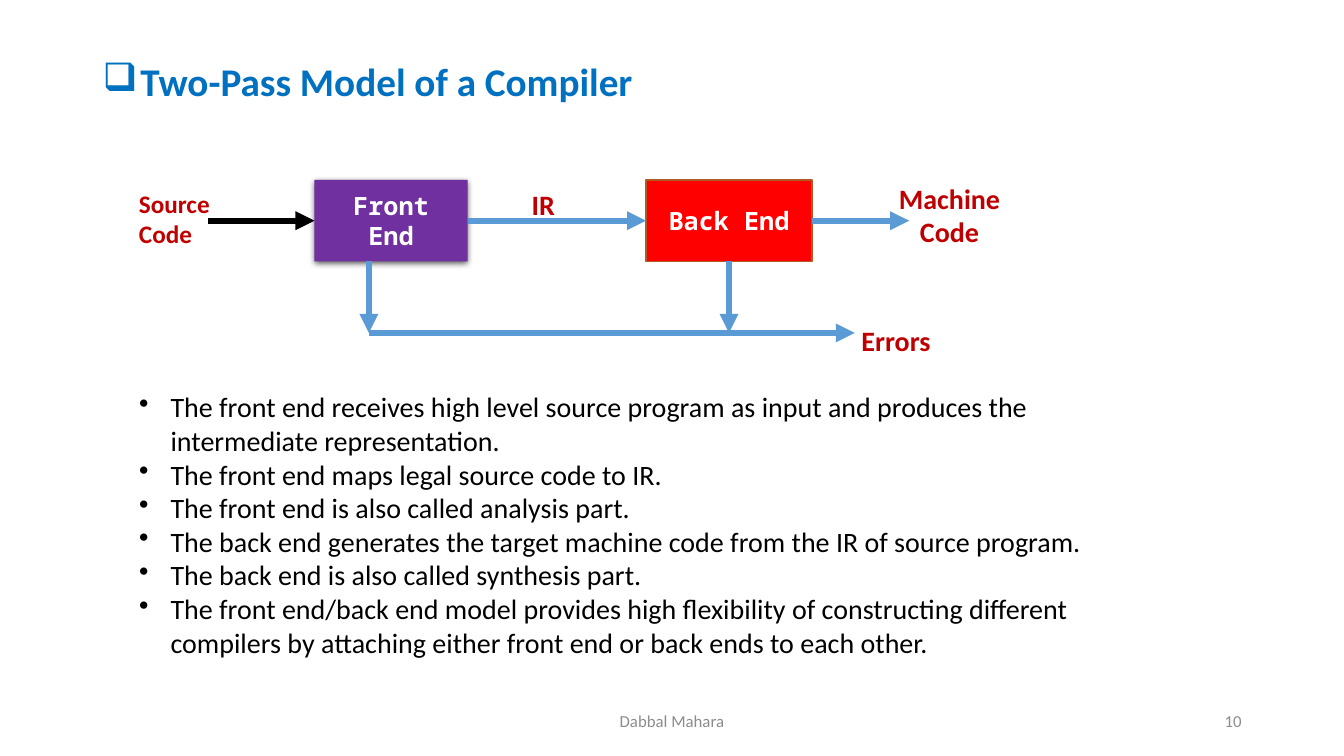
from lxml import etree
from pptx import Presentation
from pptx.dml.color import RGBColor
from pptx.enum.shapes import MSO_CONNECTOR, MSO_SHAPE
from pptx.enum.text import MSO_ANCHOR, PP_ALIGN
from pptx.oxml.ns import qn
from pptx.util import Pt

RECTANGLE = MSO_SHAPE.RECTANGLE
STRAIGHT = MSO_CONNECTOR.STRAIGHT
TOP, MIDDLE = MSO_ANCHOR.TOP, MSO_ANCHOR.MIDDLE
LEFT, CENTER, RIGHT = PP_ALIGN.LEFT, PP_ALIGN.CENTER, PP_ALIGN.RIGHT
SITE_LEFT, SITE_BOTTOM, SITE_RIGHT = 1, 2, 3

BLUE, DARK_RED, GRAY = "5B9BD5", "C00000", "8C8C8C"
BLACK, WHITE = "000000", "FFFFFF"
FLOW_Y, ERROR_Y = 157.65, 237.8

POINTS = [
    "The front end receives high level source program as input and produces the "
    "intermediate representation.",
    "The front end maps legal source code to IR.",
    "The front end is also called analysis part.",
    "The back end generates the target machine code from the IR of source program.",
    "The back end is also called synthesis part.",
    "The front end/back end model provides high flexibility of constructing different "
    "compilers by attaching either front end or back ends to each other.",
]


def rgb(value):
    return RGBColor.from_string(value)


def add_bullet(para, mark, indent):
    """Give the paragraph a hanging bullet, with the indent in points."""
    properties = para._p.get_or_add_pPr()
    properties.set("marL", str(Pt(indent)))
    properties.set("indent", str(-Pt(indent)))
    etree.SubElement(properties, qn("a:buChar"), char=mark)


def write_text(box, lines, size, color, bold=False, font="Calibri", align=LEFT,
               anchor=TOP, bullet=None, indent=0, spacing=1.0):
    frame = box.text_frame
    frame.word_wrap = True
    frame.vertical_anchor = anchor
    for number, line in enumerate(lines):
        para = frame.add_paragraph() if number else frame.paragraphs[0]
        para.alignment = align
        para.line_spacing = spacing
        if bullet:
            add_bullet(para, bullet, indent)
        span = para.add_run()
        span.text = line
        for name, value in {"name": font, "size": Pt(size), "bold": bold}.items():
            setattr(span.font, name, value)
        span.font.color.rgb = rgb(color)


def add_text(page, place, lines, size, color, **options):
    box = page.shapes.add_textbox(*map(Pt, place))
    write_text(box, lines, size, color, **options)


def add_stage(page, left, width, name, fill):
    """Add a compiler stage centred on the flow line."""
    height = 58.3
    stage = page.shapes.add_shape(
        RECTANGLE, Pt(left), Pt(FLOW_Y - height / 2), Pt(width), Pt(height))
    stage.shadow.inherit = False
    stage.fill.solid()
    stage.fill.fore_color.rgb = rgb(fill)
    stage.line.fill.background()
    write_text(stage, [name], 18, WHITE, bold=True, font="Noto Sans Mono",
               align=CENTER, anchor=MIDDLE)
    return stage


def add_soft_shadow(shape):
    effects = shape._element.spPr.find(qn("a:effectLst"))
    shadow = etree.SubElement(
        effects, qn("a:outerShdw"), blurRad=str(Pt(4.5)), dist=str(Pt(1.5)),
        dir="5400000", algn="ctr", rotWithShape="0")
    color = etree.SubElement(shadow, qn("a:srgbClr"), val=BLACK)
    etree.SubElement(color, qn("a:alpha"), val="63000")


def add_arrow(page, start, end, color=BLUE, begin=None, finish=None):
    """Draw an arrow; begin and finish are (shape, site) pairs to join."""
    arrow = page.shapes.add_connector(STRAIGHT, *map(Pt, start + end))
    arrow.line.width = Pt(4.5)
    arrow.line.color.rgb = rgb(color)
    etree.SubElement(arrow.line._get_or_add_ln(), qn("a:tailEnd"), type="triangle")
    etree.SubElement(arrow._element.spPr, qn("a:effectLst"))
    if begin:
        arrow.begin_connect(*begin)
    if finish:
        arrow.end_connect(*finish)


def add_diagram(page):
    front = add_stage(page, 224.6, 109.4, "Front End", "7030A0")
    add_soft_shadow(front)
    back = add_stage(page, 461.5, 118.4, "Back End", "FF0000")
    back.line.color.rgb = rgb("AF5C24")
    back.line.width = Pt(1)

    front_drop, back_drop, stage_bottom = 263.5, 520.7, 186.8
    add_arrow(page, (148.3, FLOW_Y), (224.6, FLOW_Y), BLACK, finish=(front, SITE_LEFT))
    add_arrow(page, (334, FLOW_Y), (461.5, FLOW_Y),
              begin=(front, SITE_RIGHT), finish=(back, SITE_LEFT))
    add_arrow(page, (front_drop, stage_bottom), (front_drop, ERROR_Y))
    add_arrow(page, (back_drop, stage_bottom), (back_drop, ERROR_Y),
              begin=(back, SITE_BOTTOM))
    add_arrow(page, (front_drop, ERROR_Y), (610.6, ERROR_Y))
    add_arrow(page, (579.9, FLOW_Y), (649.4, FLOW_Y), begin=(back, SITE_RIGHT))

    add_text(page, (92.2, 131, 79.2, 41), ["Source Code"], 18, DARK_RED, bold=True)
    for place, label in [
        ((348.5, 130.3, 79.2, 25.2), "IR"),
        ((600.5, 227.5, 79.2, 25.2), "Errors"),
        ((625.7, 126, 105.1, 44.6), "Machine Code"),
    ]:
        add_text(page, place, [label], 20, DARK_RED, bold=True, align=CENTER)


def main():
    deck = Presentation()
    deck.slide_width, deck.slide_height = Pt(960), Pt(540)
    page = deck.slides.add_slide(deck.slide_layouts[6])
    add_text(page, (66.2, 28.8, 828, 62.6), ["Two-Pass Model of a Compiler"], 28,
             "0070C0", bold=True, anchor=MIDDLE, bullet="❑", indent=27, spacing=0.9)
    add_diagram(page)
    add_text(page, (92.2, 275, 694, 225.4), POINTS, 20, BLACK, bullet="•", indent=22.5)
    add_text(page, (318, 500.5, 324, 28.8), ["Dabbal Mahara"], 12, GRAY,
             align=CENTER, anchor=MIDDLE)
    add_text(page, (678, 500.5, 216, 28.8), ["10"], 12, GRAY,
             align=RIGHT, anchor=MIDDLE)
    deck.save("out.pptx")


if __name__ == "__main__":
    main()
